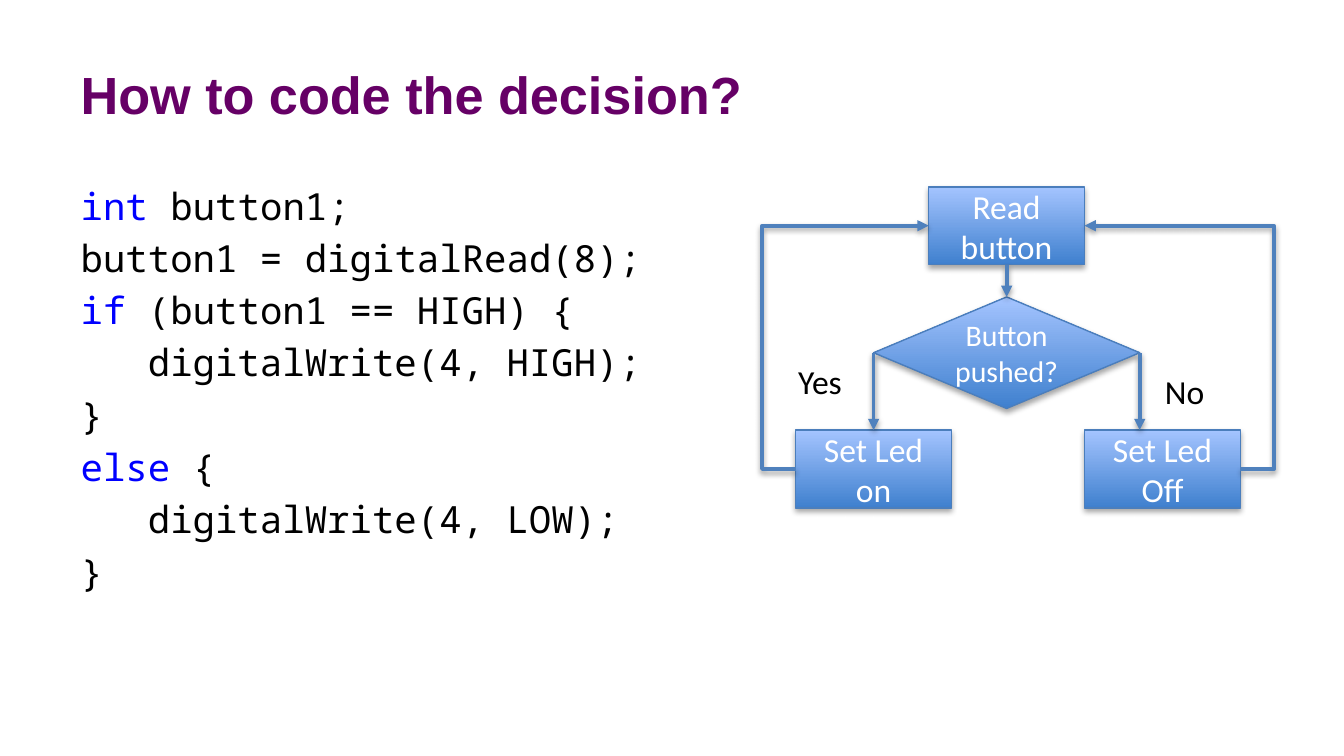
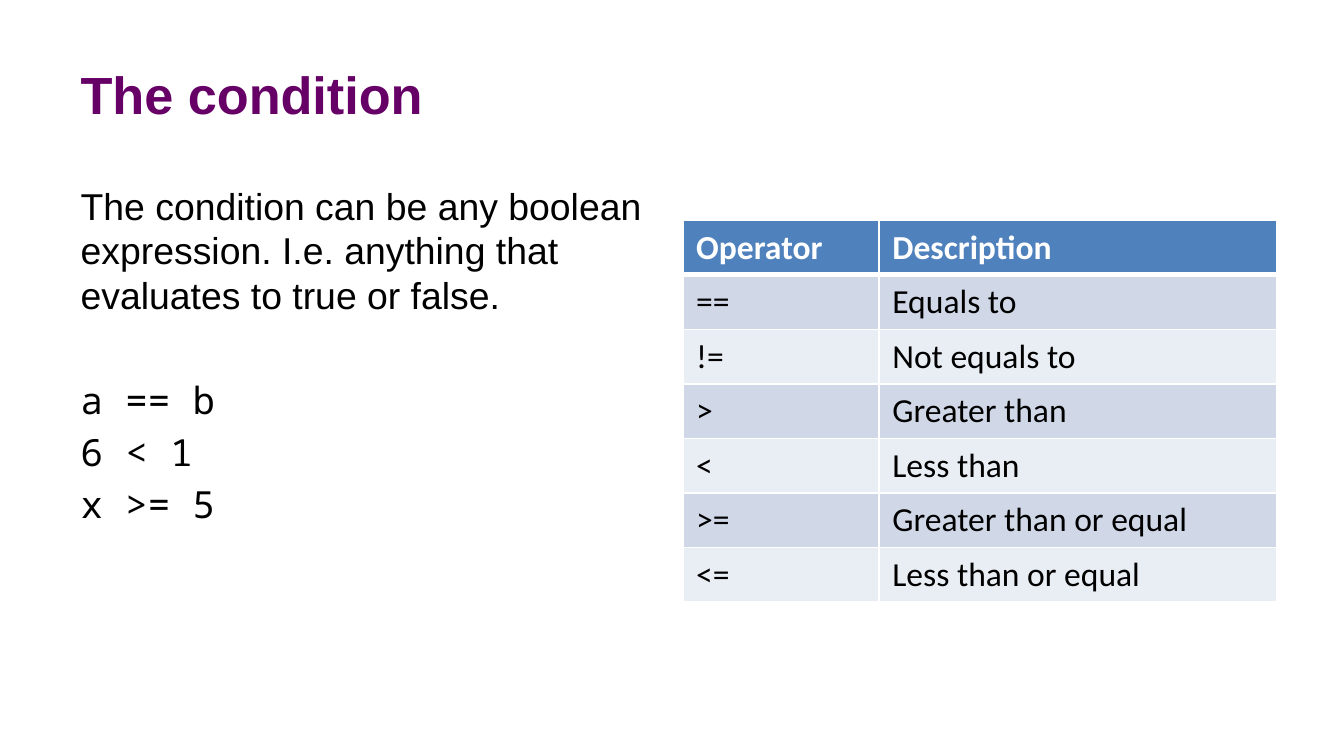
from lxml.etree import SubElement
from pptx import Presentation
from pptx.dml.color import RGBColor
from pptx.enum.shapes import MSO_CONNECTOR, MSO_SHAPE
from pptx.enum.text import MSO_ANCHOR, MSO_AUTO_SIZE, PP_ALIGN
from pptx.oxml.ns import qn
from pptx.util import Inches, Pt

PAGE_WIDTH = Inches(10)
PAGE_HEIGHT = PAGE_WIDTH * 9 // 16

COLORS = {
    "title": "660066", "text": "000000", "keyword": "0000FF", "white": "FFFFFF",
    "accent": "4F81BD", "outline": "4B7EBC",
    "gradient_bottom": "3F80CE", "gradient_top": "A4C4FF",
    "band_dark": "D0D8E8", "band_light": "E9EDF4",
}
SANS, MONO, LABEL = "Arial", "Noto Sans Mono", "Calibri"

# Each paragraph: (font, indent in inches, space before in points, [(text, colour)])
CODE = [
    (MONO, 0, 4, [("int", "keyword"), (" button1;", "text")]),
    (MONO, 0, 4, [("button1 = digitalRead(8);", "text")]),
    (MONO, 0, 4, [("if", "keyword"), (" (button1 == HIGH) {", "text")]),
    (MONO, 0.5, 4, [("digitalWrite(4, HIGH);", "text")]),
    (MONO, 0, 4, [("}", "text")]),
    (MONO, 0, 4, [("else", "keyword"), (" {", "text")]),
    (MONO, 0.5, 4, [("digitalWrite(4, LOW);", "text")]),
    (MONO, 0, 4, [("}", "text")]),
]
CONDITION = [
    (SANS, 0, 4, [("The condition can be any boolean expression. "
                   "I.e. anything that evaluates to true or false.", "text")]),
    (MONO, 0, 32, [("a == b", "text")]),
    (MONO, 0, 4, [("6 < 1", "text")]),
    (MONO, 0, 4, [("x >= 5", "text")]),
]
OPERATORS = [
    ("Operator", "Description"),
    ("==", "Equals to"),
    ("!=", "Not equals to"),
    (">", "Greater than"),
    ("<", "Less than"),
    (">=", "Greater than or equal"),
    ("<=", "Less than or equal"),
]
PROCESS, DECISION = MSO_SHAPE.FLOWCHART_PROCESS, MSO_SHAPE.FLOWCHART_DECISION
STEPS = {
    "read": (PROCESS, "Read button", 18, (6.91, 1.39, 1.16, 0.58)),
    "on": (PROCESS, "Set Led on", 18, (5.92, 3.2, 1.16, 0.58)),
    "off": (PROCESS, "Set Led Off", 18, (8.07, 3.2, 1.16, 0.58)),
    "pushed": (DECISION, "Button pushed?", 16, (6.5, 2.21, 1.98, 0.83)),
}
BRANCH_LABELS = [("No", 8.57, 2.71), ("Yes", 5.84, 2.64)]
TOP, LEFT, BOTTOM, RIGHT = range(4)
LOOP_REACH = 0.25


def color(name):
    return RGBColor.from_string(COLORS[name])


def add_span(para, text, font, size, color_name, bold=False):
    span = para.add_run()
    span.text = text
    span.font.name, span.font.size, span.font.bold = font, Pt(size), bold
    span.font.color.rgb = color(color_name)


def place(shape, left, top, width, height):
    shape.left, shape.top = Inches(left), Inches(top)
    shape.width, shape.height = Inches(width), Inches(height)


def add_page(deck, title, paragraphs):
    page = deck.slides.add_slide(deck.slide_layouts[1])
    heading, body = page.shapes.title, page.placeholders[1]
    place(heading, 0.5, 0.23, 9, 0.94)
    place(body, 0.5, 1.31, 4.42, 3.17)
    for box in (heading, body):
        box.text_frame.word_wrap = True
        box.text_frame.auto_size = MSO_AUTO_SIZE.NONE
    heading.text_frame.vertical_anchor = MSO_ANCHOR.MIDDLE
    para = heading.text_frame.paragraphs[0]
    para.alignment = PP_ALIGN.LEFT
    add_span(para, title, SANS, 28, "title", bold=True)

    frame = body.text_frame
    for number, (font, indent, before, spans) in enumerate(paragraphs):
        para = frame.add_paragraph() if number else frame.paragraphs[0]
        para.space_before, para.line_spacing = Pt(before), Pt(24)
        properties = para._p.get_or_add_pPr()
        properties.set("marL", str(Inches(indent)))
        properties.set("indent", "0")
        SubElement(properties, qn("a:buNone"))
        for text, color_name in spans:
            add_span(para, text, font, 20, color_name)
    return page


def add_shadow(shape, opacity, distance):
    effects = SubElement(shape._element.spPr, qn("a:effectLst"))
    shadow = SubElement(effects, qn("a:outerShdw"), blurRad=str(Pt(3.1)),
                        dist=str(Pt(distance)), dir="5400000", rotWithShape="0")
    shade = SubElement(shadow, qn("a:srgbClr"), val=COLORS["text"])
    SubElement(shade, qn("a:alpha"), val=str(opacity * 1000))


def add_step(page, kind, text, size, position):
    step = page.shapes.add_shape(kind, *map(Inches, position))
    step.fill.gradient()
    step.fill.gradient_angle = 90
    for stop, name in zip(step.fill.gradient_stops, ("gradient_bottom", "gradient_top")):
        stop.color.rgb = color(name)
    step.line.color.rgb = color("outline")
    step.line.width = Pt(0.75)
    add_shadow(step, 35, 1.8)
    step.text_frame.word_wrap = True
    step.text_frame.vertical_anchor = MSO_ANCHOR.MIDDLE
    para = step.text_frame.paragraphs[0]
    para.alignment = PP_ALIGN.CENTER
    add_span(para, text, LABEL, size, "white")
    return step


def add_arrow(page, kind, start, end):
    arrow = page.shapes.add_connector(kind, *map(Inches, start + end))
    arrow.line.color.rgb = color("accent")
    arrow.line.width = Pt(2)
    SubElement(arrow.line._get_or_add_ln(), qn("a:tailEnd"), type="triangle")
    add_shadow(arrow, 38, 1.6)
    return arrow


def side(name, site):
    """Return the middle of one side of a step, in inches."""
    left, top, width, height = STEPS[name][3]
    across, down = [(0.5, 0), (0, 0.5), (0.5, 1), (1, 0.5)][site]
    return left + across * width, top + down * height


def add_loop(page, name, site):
    """Lead from the outer side of a step back to the same side of the first step."""
    start, end = side(name, site), side("read", site)
    loop = add_arrow(page, MSO_CONNECTOR.ELBOW, start, end)
    bend = -LOOP_REACH / abs(end[0] - start[0])
    geometry = loop._element.spPr.find(qn("a:prstGeom"))
    guides = geometry.find(qn("a:avLst"))
    if guides is None:
        guides = SubElement(geometry, qn("a:avLst"))
    SubElement(guides, qn("a:gd"), name="adj1", fmla=f"val {round(bend * 100000)}")


def add_flowchart(page):
    steps = {name: add_step(page, *step) for name, step in STEPS.items()}
    off_top = STEPS["off"][3][1]
    straight = [
        ("read", BOTTOM, "pushed", side("pushed", TOP)),
        ("pushed", LEFT, "on", side("on", TOP)),
        ("pushed", RIGHT, None, (side("pushed", RIGHT)[0], off_top)),
    ]
    for source, site, target, end in straight:
        arrow = add_arrow(page, MSO_CONNECTOR.STRAIGHT, side(source, site), end)
        arrow.begin_connect(steps[source], site)
        if target:
            arrow.end_connect(steps[target], TOP)
    for text, left, top in BRANCH_LABELS:
        box = page.shapes.add_textbox(*map(Inches, (left, top, 0.57, 0.4)))
        box.text_frame.word_wrap = True
        add_span(box.text_frame.paragraphs[0], text, LABEL, 18, "text")
    add_loop(page, "on", LEFT)
    add_loop(page, "off", RIGHT)


def add_border(cell, edge, width):
    line = SubElement(cell._tc.get_or_add_tcPr(), qn(f"a:{edge}"), w=str(Pt(width)))
    fill = SubElement(line, qn("a:solidFill"))
    SubElement(fill, qn("a:srgbClr"), val=COLORS["white"])


def add_operator_table(page):
    position = map(Inches, (5.08, 1.64, 4.42, 2.84))
    table = page.shapes.add_table(len(OPERATORS), 2, *position).table
    for column, width in zip(table.columns, (1.46, 2.96)):
        column.width = Inches(width)
    for row, texts in enumerate(OPERATORS):
        header = row == 0
        band = "accent" if header else "band_dark" if row % 2 else "band_light"
        for column, text in enumerate(texts):
            cell = table.cell(row, column)
            for edge in ("lnL", "lnR", "lnT", "lnB"):
                thick = (row, edge) in ((0, "lnB"), (1, "lnT"))
                add_border(cell, edge, 3 if thick else 1)
            cell.fill.solid()
            cell.fill.fore_color.rgb = color(band)
            add_span(cell.text_frame.paragraphs[0], text, LABEL, 18,
                     "white" if header else "text", bold=header)


def main():
    deck = Presentation()
    deck.slide_width, deck.slide_height = PAGE_WIDTH, PAGE_HEIGHT
    add_flowchart(add_page(deck, "How to code the decision?", CODE))
    add_operator_table(add_page(deck, "The condition", CONDITION))
    deck.save("out.pptx")


if __name__ == "__main__":
    main()
